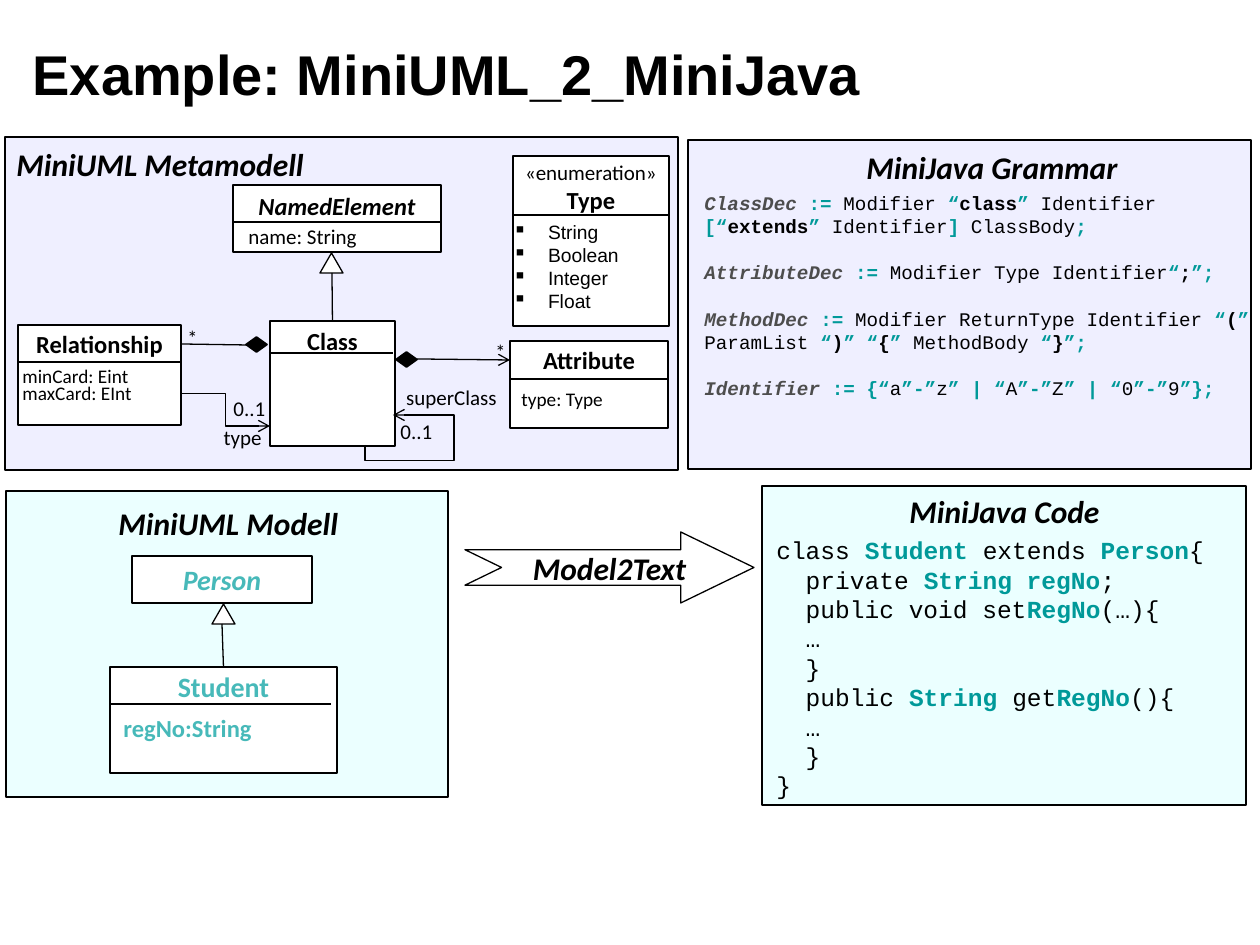
from dataclasses import dataclass
from itertools import groupby
from typing import Optional

from pptx import Presentation
from pptx.dml.color import RGBColor
from pptx.enum.shapes import MSO_CONNECTOR, MSO_SHAPE
from pptx.enum.text import MSO_ANCHOR, MSO_AUTO_SIZE, PP_ALIGN
from pptx.oxml.ns import qn
from pptx.util import Pt
from lxml.etree import SubElement

PX_PER_INCH = 126
BLACK, WHITE, TEAL, AQUA, GRAY = "000000", "FFFFFF", "009999", "47B9B9", "4D4D4D"
LILAC, MINT = "EFEFFF", "EBFFFF"
# Markup toggles: colour, bold, italic
MARKS = {"": (BLACK, False, False), "*": (TEAL, True, False),
         "^": (BLACK, True, False), "~": (GRAY, True, True)}


@dataclass
class TextStyle:
    size: int
    bold: bool = False
    italic: bool = False
    color: str = BLACK
    font: str = "Calibri"
    align: PP_ALIGN = PP_ALIGN.LEFT
    spacing: Optional[float] = None


@dataclass
class Block:
    area: tuple
    text: str = ""
    style: Optional[TextStyle] = None
    fill: str = WHITE
    kind: MSO_SHAPE = MSO_SHAPE.RECTANGLE
    rotation: int = 0
    anchor: MSO_ANCHOR = MSO_ANCHOR.MIDDLE
    margins: tuple = (13, 6, 13, 6)  # left, top, right, bottom
    line_width: float = 0.75


def px(value: int) -> int:
    return round(value * 914400 / PX_PER_INCH)


def rgb(value: str) -> RGBColor:
    return RGBColor.from_string(value)


def style_paragraph(paragraph, style: TextStyle) -> None:
    paragraph.alignment = style.align
    if style.spacing:
        paragraph.line_spacing = style.spacing
    for run in paragraph.runs:
        font = run.font
        font.name, font.size = style.font, Pt(style.size)
        font.bold, font.italic = style.bold, style.italic
        font.color.rgb = rgb(style.color)


def set_text(frame, text: str, style: TextStyle) -> None:
    frame.text = text
    for paragraph in frame.paragraphs:
        style_paragraph(paragraph, style)


def add_block(slide, block: Block):
    shape = slide.shapes.add_shape(block.kind, *map(px, block.area))
    shape.shadow.inherit = False
    shape.rotation = block.rotation
    shape.fill.solid()
    shape.fill.fore_color.rgb = rgb(block.fill)
    shape.line.color.rgb = rgb(BLACK)
    shape.line.width = Pt(block.line_width)
    if block.style:
        frame = shape.text_frame
        frame.word_wrap = False
        frame.vertical_anchor = block.anchor
        (frame.margin_left, frame.margin_top,
         frame.margin_right, frame.margin_bottom) = map(px, block.margins)
        set_text(frame, block.text, block.style)
    return shape


def add_label(slide, area: tuple, text: str, style: TextStyle):
    box = slide.shapes.add_textbox(*map(px, area))
    box.text_frame.word_wrap = True
    set_text(box.text_frame, text, style)
    return box


def add_line(slide, start: tuple, end: tuple, source=None, target=None,
             arrow: bool = False, kind=MSO_CONNECTOR.STRAIGHT):
    """source and target are (shape, connection site) pairs."""
    line = slide.shapes.add_connector(kind, *map(px, start + end))
    if source:
        line.begin_connect(*source)
    if target:
        line.end_connect(*target)
    line.line.color.rgb = rgb(BLACK)
    line.line.width = Pt(0.75)
    if arrow:
        SubElement(line.line._get_or_add_ln(), qn("a:tailEnd"), type="arrow")
    SubElement(line._element.spPr, qn("a:effectLst"))
    return line


def add_marked_text(slide, area: tuple, lines: list, size: int, gap: float = 0) -> None:
    """Write one paragraph per line; the characters in MARKS toggle run styles."""
    frame = slide.shapes.add_textbox(*map(px, area)).text_frame
    frame.word_wrap = True
    for index, line in enumerate(lines):
        paragraph = frame.paragraphs[0] if index == 0 else frame.add_paragraph()
        paragraph.space_before = Pt(gap if index else 0)
        mark, pieces = "", []
        for character in line:
            if character in MARKS:
                mark = "" if mark == character else character
            else:
                pieces.append((mark, character))
        for mark, group in groupby(pieces, key=lambda piece: piece[0]):
            run = paragraph.add_run()
            run.text = "".join(character for _, character in group)
            color, run.font.bold, run.font.italic = MARKS[mark]
            run.font.color.rgb = rgb(color)
            run.font.name, run.font.size = "Courier New", Pt(size)


def add_bullets(frame) -> None:
    for paragraph in frame.paragraphs:
        properties = paragraph._p.get_or_add_pPr()
        properties.set("marL", str(px(35)))
        properties.set("indent", str(-px(35)))
        SubElement(properties, qn("a:buChar"), char="▪")


HEADING = TextStyle(18, bold=True, italic=True)
CENTERED_HEADING = TextStyle(18, True, True, align=PP_ALIGN.CENTER)
CLASS_NAME = TextStyle(14, True, align=PP_ALIGN.CENTER)
ABSTRACT_NAME = TextStyle(14, True, True, align=PP_ALIGN.CENTER)
ATTRIBUTES = TextStyle(11, spacing=0.75)
ROLE = TextStyle(12)
CENTERED_ROLE = TextStyle(12, align=PP_ALIGN.CENTER)

GRAMMAR = [
    "~ClassDec ~*:=* Modifier *“*^class^*”* Identifier *[“*^extends^*”* Identifier*] *ClassBody*;*",
    "~AttributeDec ~*:= *Modifier Type Identifier*“*^;^*”;*",
    "~MethodDec ~*:= *Modifier ReturnType Identifier *“*^(^*” *ParamList *“*^)^*” “*^{^*” *"
    "MethodBody *“*^}^*”;*",
    "~Identifier ~*:= {“*a*”-”*z*” | “*A*”-”*Z*” | “*0*”-”*9*”};*",
]
CODE = ["class *Student *extends *Person*{", "  private *String regNo*;",
        "  public void set*RegNo*(…){", "  …", "  }",
        "  public *String *get*RegNo*(){", "  …", "  }", "}"]


def draw_panels(slide) -> None:
    for area, fill in [((5, 137, 673, 333), LILAC), ((6, 491, 442, 306), MINT),
                       ((762, 486, 484, 319), MINT), ((688, 140, 563, 329), LILAC)]:
        add_block(slide, Block(area, fill=fill))
    for area, text in [((4, 139, 315, 47), "MiniUML Metamodell"),
                       ((106, 498, 291, 47), "MiniUML Modell"),
                       ((897, 486, 310, 47), "MiniJava Code"),
                       ((854, 142, 406, 47), "MiniJava Grammar")]:
        add_label(slide, area, text, HEADING)
    add_marked_text(slide, (764, 529, 530, 280), CODE, 14)
    add_marked_text(slide, (692, 185, 592, 223), GRAMMAR, 11, gap=13.25)
    arrow = add_block(slide, Block((465, 532, 289, 71), "Model2Text", CENTERED_HEADING,
                                   kind=MSO_SHAPE.NOTCHED_RIGHT_ARROW))
    arrow.adjustments[0], arrow.adjustments[1] = 0.5, 1.031


def draw_metamodel(slide) -> None:
    # Classes
    add_block(slide, Block((233, 185, 208, 43), "NamedElement", ABSTRACT_NAME,
                           anchor=MSO_ANCHOR.TOP))
    add_block(slide, Block((233, 222, 208, 30)))
    add_label(slide, (236, 223, 194, 32), "name: String", TextStyle(12, spacing=0.75))
    add_block(slide, Block((510, 377, 158, 51)))
    add_label(slide, (509, 386, 156, 30), "type: Type", ATTRIBUTES)
    attribute = add_block(slide, Block((510, 341, 158, 38), "Attribute", CLASS_NAME))
    relationship = add_block(slide, Block((18, 325, 163, 38), "Relationship", CLASS_NAME))
    relationship_body = add_block(slide, Block((18, 362, 163, 63)))
    add_label(slide, (10, 363, 159, 48), "minCard: Eint\nmaxCard: EInt", ATTRIBUTES)
    class_box = add_block(slide, Block((270, 321, 125, 125), "Class", CLASS_NAME,
                                       anchor=MSO_ANCHOR.TOP, margins=(13, 5, 13, 6)))
    add_line(slide, (269, 353), (393, 353))

    # Enumeration
    values = add_block(slide, Block((513, 215, 156, 111), "String\nBoolean\nInteger\nFloat",
                                    TextStyle(11, font="Arial"), anchor=MSO_ANCHOR.TOP,
                                    margins=(0, 5, 0, 0)))
    add_bullets(values.text_frame)
    header = add_block(slide, Block((513, 156, 156, 59), "«enumeration»\nType",
                                    CENTERED_ROLE, margins=(8, 3, 8, 0)))
    style_paragraph(header.text_frame.paragraphs[1], CLASS_NAME)

    # Inheritance and associations
    add_block(slide, Block((320, 253, 23, 20), kind=MSO_SHAPE.ISOSCELES_TRIANGLE))
    add_line(slide, (332, 321), (332, 273), source=(class_box, 0))
    for left, top in [(249, 334), (399, 349)]:
        add_block(slide, Block((left, top, 15, 21), fill=BLACK, kind=MSO_SHAPE.DIAMOND,
                               rotation=270, line_width=1))
    add_line(slide, (246, 345), (181, 344), target=(relationship, 3))
    add_line(slide, (417, 359), (510, 360), target=(attribute, 1), arrow=True)
    add_line(slide, (181, 393), (270, 426), source=(relationship_body, 3), arrow=True,
             kind=MSO_CONNECTOR.ELBOW)

    # Loop from the bottom of Class back to its right side
    loop = add_line(slide, (364, 416), (394, 444), arrow=True, kind=MSO_CONNECTOR.ELBOW)
    properties = loop._element.spPr
    for name, value in {"rot": "5400000", "flipH": "1", "flipV": "1"}.items():
        properties.find(qn("a:xfrm")).set(name, value)
    geometry = properties.find(qn("a:prstGeom"))
    geometry.set("prst", "bentConnector4")
    for name, value in [("adj1", -50700), ("adj2", 318700)]:
        SubElement(geometry.find(qn("a:avLst")), qn("a:gd"), name=name, fmla=f"val {value}")

    # Roles and multiplicities
    for area, text, style in [((207, 418, 71, 38), "type", CENTERED_ROLE),
                              ((388, 412, 71, 38), "0..1", ROLE),
                              ((221, 389, 67, 38), "0..1", ROLE),
                              ((383, 378, 137, 38), "superClass", CENTERED_ROLE)]:
        add_label(slide, area, text, style)
    for left, top in [(175, 295), (483, 309)]:
        star = add_label(slide, (left, top, 38, 54), "*", TextStyle(20))
        star.text_frame.paragraphs[0].runs[0].font._element.set("baseline", "-25000")


def draw_model(slide) -> None:
    add_block(slide, Block((132, 556, 180, 47), "Person",
                           TextStyle(16, True, True, AQUA, align=PP_ALIGN.CENTER)))
    add_block(slide, Block((212, 604, 23, 20), kind=MSO_SHAPE.ISOSCELES_TRIANGLE))
    student = add_block(slide, Block((110, 667, 227, 106), "Student",
                                     TextStyle(16, True, color=AQUA, align=PP_ALIGN.CENTER),
                                     anchor=MSO_ANCHOR.TOP, margins=(13, 3, 13, 6)))
    add_line(slide, (223, 667), (222, 624), source=(student, 0))
    add_line(slide, (111, 704), (331, 704))
    add_label(slide, (111, 714, 221, 35), "regNo:String",
              TextStyle(14, True, color=AQUA, spacing=0.75))


def main() -> None:
    presentation = Presentation()
    presentation.slide_width, presentation.slide_height = px(1260), px(945)
    slide = presentation.slides.add_slide(presentation.slide_layouts[5])
    title = slide.shapes.title
    title.left, title.top, title.width, title.height = map(px, (20, 21, 1176, 105))
    title.text_frame.auto_size = MSO_AUTO_SIZE.NONE
    title.text_frame.vertical_anchor = MSO_ANCHOR.MIDDLE
    set_text(title.text_frame, "Example: MiniUML_2_MiniJava",
             TextStyle(32, True, font="Arial"))
    draw_panels(slide)
    draw_metamodel(slide)
    draw_model(slide)
    presentation.save("out.pptx")


if __name__ == "__main__":
    main()
